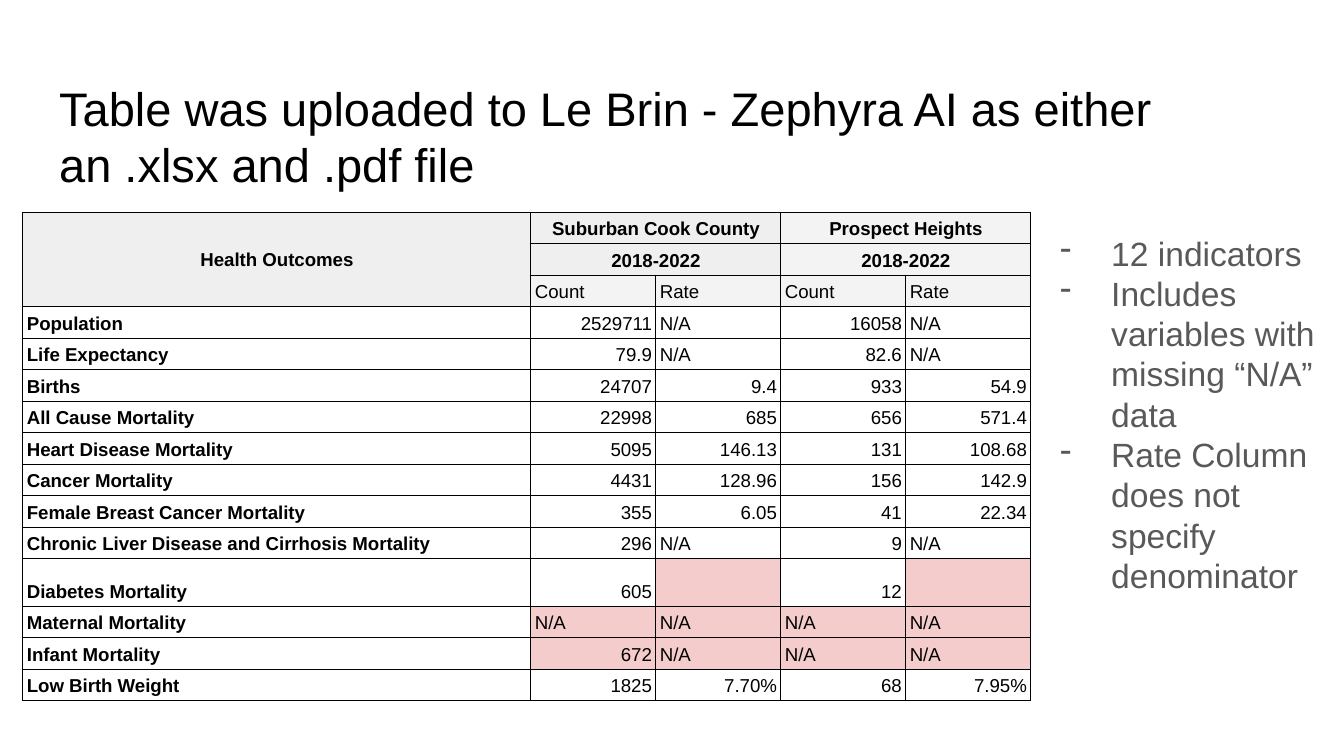
from lxml.etree import SubElement
from pptx import Presentation
from pptx.dml.color import RGBColor
from pptx.enum.text import MSO_ANCHOR, PP_ALIGN
from pptx.oxml.ns import qn
from pptx.util import Inches, Pt

BLACK, WHITE, GRAY = "000000", "FFFFFF", "595959"
HEADER_LEFT, HEADER_RIGHT, MISSING = "EFEFEF", "F3F3F3", "F4CCCC"

# Indicator, then count and rate for each of the two areas
OUTCOMES = [
    ("Population", "2529711", "N/A", "16058", "N/A"),
    ("Life Expectancy", "79.9", "N/A", "82.6", "N/A"),
    ("Births", "24707", "9.4", "933", "54.9"),
    ("All Cause Mortality", "22998", "685", "656", "571.4"),
    ("Heart Disease Mortality", "5095", "146.13", "131", "108.68"),
    ("Cancer Mortality", "4431", "128.96", "156", "142.9"),
    ("Female Breast Cancer Mortality", "355", "6.05", "41", "22.34"),
    ("Chronic Liver Disease and Cirrhosis Mortality", "296", "N/A", "9", "N/A"),
    ("Diabetes Mortality", "605", "", "12", ""),
    ("Maternal Mortality", "N/A", "N/A", "N/A", "N/A"),
    ("Infant Mortality", "672", "N/A", "N/A", "N/A"),
    ("Low Birth Weight", "1825", "7.70%", "68", "7.95%"),
]
HIGHLIGHTED = {
    "Diabetes Mortality": (2, 4),
    "Maternal Mortality": (1, 2, 3, 4),
    "Infant Mortality": (1, 2, 3, 4),
}
HEADER_ROWS = 3
NOTES = [
    "12 indicators",
    "Includes variables with missing “N/A” data",
    "Rate Column does not specify denominator",
]


def color(value):
    return RGBColor.from_string(value)


class SlideBuilder:
    font = "Arial"

    def __init__(self, slide):
        self.slide = slide

    def add_run(self, paragraph, text, size, text_color=BLACK, bold=False):
        run = paragraph.add_run()
        run.text = text
        run.font.name = self.font
        run.font.size = Pt(size)
        run.font.bold = bold
        run.font.color.rgb = color(text_color)

    def prepare_frame(self, frame):
        """Wrap the text from the top, with equal insets."""
        frame.word_wrap = True
        frame.vertical_anchor = MSO_ANCHOR.TOP
        frame.margin_left = frame.margin_right = Inches(0.1)
        frame.margin_top = frame.margin_bottom = Inches(0.1)

    def title(self, text, left, top, width, height):
        shape = self.slide.shapes.title
        shape.left, shape.top = Inches(left), Inches(top)
        shape.width, shape.height = Inches(width), Inches(height)
        self.prepare_frame(shape.text_frame)
        paragraph = shape.text_frame.paragraphs[0]
        paragraph.alignment = PP_ALIGN.LEFT
        self.add_run(paragraph, text, 25.2)

    def bullets(self, items, left, top, width, height):
        shape = self.slide.shapes.add_textbox(
            Inches(left), Inches(top), Inches(width), Inches(height))
        frame = shape.text_frame
        self.prepare_frame(frame)
        for index, item in enumerate(items):
            paragraph = frame.add_paragraph() if index else frame.paragraphs[0]
            properties = paragraph._p.get_or_add_pPr()
            properties.set("marL", str(Inches(0.5)))
            properties.set("indent", str(Inches(-0.38)))
            bullet_color = SubElement(properties, qn("a:buClr"))
            SubElement(bullet_color, qn("a:srgbClr"), val=GRAY)
            SubElement(properties, qn("a:buChar"), char="-")
            self.add_run(paragraph, item, 18, GRAY)

    def table(self, left, top, column_widths, row_heights):
        shape = self.slide.shapes.add_table(
            len(row_heights), len(column_widths), Inches(left), Inches(top),
            Inches(sum(column_widths)), Inches(sum(row_heights)))
        table = shape.table
        table.first_row = table.horz_banding = False
        for column, width in zip(table.columns, column_widths):
            column.width = Inches(width)
        for row, height in zip(table.rows, row_heights):
            row.height = Inches(height)
        for cell in table.iter_cells():
            self.format_cell(cell)
        return table

    def format_cell(self, cell):
        """Give a cell its insets, thin borders and a white fill."""
        cell.margin_left = cell.margin_right = Inches(0.03)
        cell.margin_top, cell.margin_bottom = Inches(0.02), Inches(0.03)
        cell.vertical_anchor = MSO_ANCHOR.BOTTOM
        properties = cell._tc.get_or_add_tcPr()
        for side in ("L", "R", "T", "B"):
            line = SubElement(properties, qn(f"a:ln{side}"), w=str(Pt(0.75)))
            SubElement(SubElement(line, qn("a:solidFill")), qn("a:srgbClr"), val=BLACK)
        self.fill_cell(cell, WHITE)

    def fill_cell(self, cell, fill):
        cell.fill.solid()
        cell.fill.fore_color.rgb = color(fill)

    def cell_text(self, cell, text, alignment=PP_ALIGN.LEFT, bold=False):
        paragraph = cell.text_frame.paragraphs[0]
        paragraph.alignment = alignment
        paragraph.line_spacing = 1.15
        self.add_run(paragraph, text, 10, bold=bold)

    def merged_header(self, first, last, text, fill):
        first.merge(last)
        self.fill_cell(first, fill)
        self.cell_text(first, text, PP_ALIGN.CENTER, bold=True)

    def outcome_headers(self, table):
        corner = table.cell(0, 0)
        self.merged_header(corner, table.cell(2, 0), "Health Outcomes", HEADER_LEFT)
        corner.vertical_anchor = MSO_ANCHOR.MIDDLE
        areas = [(1, "Suburban Cook County", HEADER_LEFT),
                 (3, "Prospect Heights", HEADER_RIGHT)]
        for column, area, fill in areas:
            for row, text in enumerate((area, "2018-2022")):
                self.merged_header(table.cell(row, column),
                                   table.cell(row, column + 1), text, fill)
            for offset, text in enumerate(("Count", "Rate")):
                cell = table.cell(2, column + offset)
                self.fill_cell(cell, HEADER_RIGHT)
                self.cell_text(cell, text)

    def outcome_rows(self, table):
        for row, outcome in enumerate(OUTCOMES, HEADER_ROWS):
            for column, text in enumerate(outcome):
                cell = table.cell(row, column)
                if column in HIGHLIGHTED.get(outcome[0], ()):
                    self.fill_cell(cell, MISSING)
                is_number = column > 0 and text != "N/A"
                if text:
                    self.cell_text(cell, text,
                                   PP_ALIGN.RIGHT if is_number else PP_ALIGN.LEFT,
                                   bold=column == 0)


def main():
    presentation = Presentation()
    presentation.slide_width = Inches(10)
    presentation.slide_height = Inches(10 * 9 / 16)
    builder = SlideBuilder(presentation.slides.add_slide(presentation.slide_layouts[5]))

    builder.title("Table was uploaded to Le Brin - Zephyra AI as either "
                  "an .xlsx and .pdf file", 0.34, 0.49, 9.32, 0.63)

    regular_height = 3.28 / 14
    row_heights = [regular_height] * HEADER_ROWS + [
        regular_height if all(outcome) else 0.33 for outcome in OUTCOMES]
    table = builder.table(0.17, 1.58, [3.78] + [0.93] * 4, row_heights)
    builder.outcome_headers(table)
    builder.outcome_rows(table)

    builder.bullets(NOTES, 7.67, 1.63, 2.33, 3.54)
    presentation.save("out.pptx")


if __name__ == "__main__":
    main()
